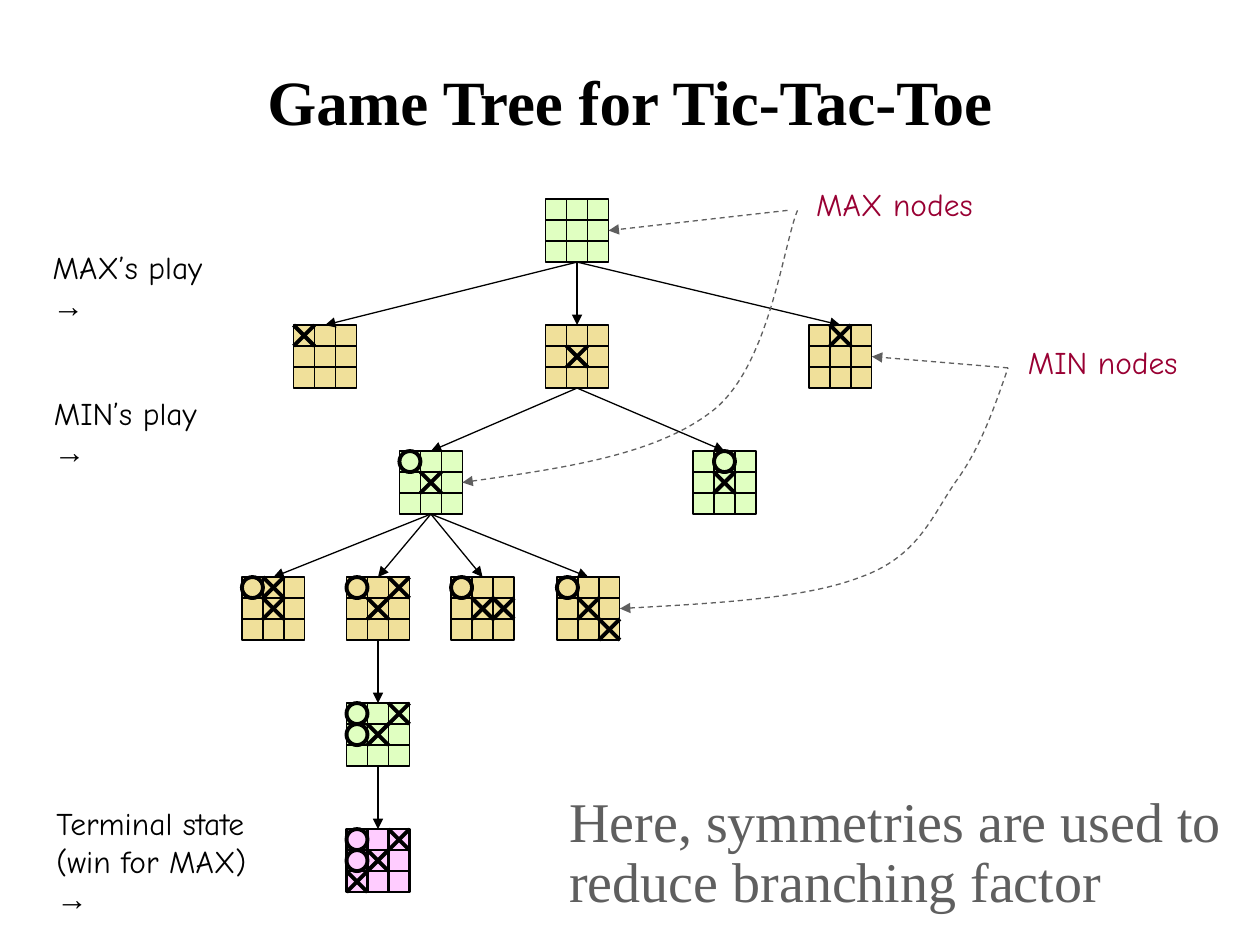
from lxml import etree
from pptx import Presentation
from pptx.dml.color import RGBColor
from pptx.enum import dml, shapes, text
from pptx.oxml import ns
from pptx.util import Inches, Pt

BLACK = RGBColor(0x00, 0x00, 0x00)
GREY = RGBColor(0x5F, 0x5F, 0x5F)
CRIMSON = RGBColor(0x99, 0x00, 0x33)
MAX_GREEN = RGBColor(0xE0, 0xFF, 0xC1)
MIN_TAN = RGBColor(0xF0, 0xE0, 0x9A)
WIN_PINK = RGBColor(0xFF, 0xCC, 0xFF)

SERIF, HAND, SANS = "Times New Roman", "Comic Neue", "Arial"
BOARD, CELL = 0.5, 0.5 / 3
TOP, BOTTOM, RIGHT = 0, 2, 3  # connection sites

# name: (left, level, marks by row)
BOARDS = {
    "root": (4.33, 0, "... ... ..."),
    "corner": (2.33, 1, "X.. ... ..."),
    "centre": (4.33, 1, "... .X. ..."),
    "edge": (6.42, 1, ".X. ... ..."),
    "reply corner": (3.17, 2, "O.. .X. ..."),
    "reply edge": (5.5, 2, ".O. .X. ..."),
    "top middle": (1.92, 3, "OX. .X. ..."),
    "top right": (2.75, 3, "O.X .X. ..."),
    "middle right": (3.58, 3, "O.. .XX ..."),
    "bottom right": (4.42, 3, "O.. .X. ..X"),
    "block": (2.75, 4, "O.X OX. ..."),
    "win": (2.75, 5, "O.X OX. X.."),
}
MOVES = {
    "root": ("corner", "centre", "edge"),
    "centre": ("reply corner", "reply edge"),
    "reply corner": ("top middle", "top right", "middle right", "bottom right"),
    "top right": ("block",),
    "block": ("win",),
}


def style_line(shape, color, width, dashed=False, arrow=None):
    shape.line.color.rgb = color
    shape.line.width = Pt(width)
    if dashed:
        shape.line.dash_style = dml.MSO_LINE.DASH
    if arrow:
        etree.SubElement(shape.line._get_or_add_ln(), ns.qn(f"a:{arrow}"), type="triangle")


def add_line(parent, x1, y1, x2, y2, color=BLACK, width=0.75, **style):
    line = parent.shapes.add_connector(
        shapes.MSO_CONNECTOR.STRAIGHT, Inches(x1), Inches(y1), Inches(x2), Inches(y2))
    style_line(line, color, width, **style)
    etree.SubElement(line._element.spPr, ns.qn("a:effectLst"))
    return line


def add_outline(parent, preset, left, top, size, fill, width):
    outline = parent.shapes.add_shape(
        preset, Inches(left), Inches(top), Inches(size), Inches(size))
    outline.shadow.inherit = False
    outline.fill.solid()
    outline.fill.fore_color.rgb = fill
    style_line(outline, BLACK, width)
    return outline


def format_font(font, color, **values):
    font.color.rgb = color
    for name, value in values.items():
        setattr(font, name, value)


def add_label(parent, left, top, width, height, wording, color, wrap=True,
              name=HAND, size=18, spacing=None, arrow=""):
    box = parent.shapes.add_textbox(
        Inches(left), Inches(top), Inches(width), Inches(height))
    box.text_frame.word_wrap = wrap
    paragraph = box.text_frame.paragraphs[0]
    paragraph.text = wording
    if spacing:
        paragraph.line_spacing = spacing
    for run in paragraph.runs:
        format_font(run.font, color, name=name, size=Pt(size))
    if arrow:
        arrow_run = paragraph.add_run()
        arrow_run.text = arrow
        format_font(arrow_run.font, color, name=SANS, size=Pt(size))


def add_board(parent, left, top, marks, fill, grid_width):
    square = add_outline(
        parent, shapes.MSO_SHAPE.RECTANGLE, left, top, BOARD, fill, grid_width)
    # Grid
    for i in (1, 2):
        x, y = left + i * CELL, top + i * CELL
        add_line(parent, left, y, left + BOARD, y, width=grid_width)
        add_line(parent, x, top, x, top + BOARD, width=grid_width)
    # Crosses and noughts
    for row, cells in enumerate(marks.split()):
        for column, mark in enumerate(cells):
            x, y = left + column * CELL, top + row * CELL
            if mark == "X":
                add_line(parent, x, y, x + CELL, y + CELL, width=2.25)
                add_line(parent, x, y + CELL, x + CELL, y, width=2.25)
            elif mark == "O":
                add_outline(parent, shapes.MSO_SHAPE.OVAL, x, y, CELL, fill, 2.25)
    return square


def add_tree(slide, top):
    tree = slide.shapes.add_group_shape()
    squares = {}
    for name, (left, level, marks) in BOARDS.items():
        fill = WIN_PINK if name == "win" else (MAX_GREEN, MIN_TAN)[level % 2]
        squares[name] = add_board(
            tree, left, top + level, marks, fill, 1.5 if name == "win" else 0.75)
    # Moves
    for parent, children in MOVES.items():
        for child in children:
            move = add_line(tree, 0, 0, 1, 1, arrow="tailEnd")
            move.begin_connect(squares[parent], BOTTOM)
            move.end_connect(squares[child], TOP)
    # Whose turn it is
    for left, label_top, width, height, wording in (
            (0.32, 0.34, 1.67, 0.4, "MAX’s play "),
            (0.33, 1.5, 1.62, 0.4, "MIN’s play "),
            (0.35, 4.75, 2, 0.7, "Terminal state\v(win for MAX) ")):
        add_label(tree, left, top + label_top, width, height, wording, BLACK, arrow="→")
    return squares


def add_curve(parent, points):
    """Draw Bezier segments: a start, then three points for each segment."""
    emu = [(Inches(x), Inches(y)) for x, y in points]
    builder = parent.shapes.build_freeform(*emu[0])
    builder.add_line_segments(emu[1:], close=False)
    curve = builder.convert_to_shape()
    outline = curve._element.find(".//" + ns.qn("a:path"))
    steps = outline.findall(ns.qn("a:lnTo"))
    for i in range(0, len(steps), 3):
        segment = etree.SubElement(outline, ns.qn("a:cubicBezTo"))
        for step in steps[i:i + 3]:
            segment.append(step[0])
            outline.remove(step)
    curve.shadow.inherit = False
    curve.fill.background()
    style_line(curve, GREY, 0.75, dashed=True, arrow="headEnd")


def add_node_note(slide, box, wording, start, square, curve):
    note = slide.shapes.add_group_shape()
    add_label(note, *box, wording, CRIMSON, wrap=False)
    add_curve(note, curve)
    pointer = add_line(note, *start, *start, color=GREY, dashed=True, arrow="tailEnd")
    pointer.end_connect(square, RIGHT)


def add_title(slide, left, top, width, height):
    title = slide.shapes.title
    box = {"left": left, "top": top, "width": width, "height": height}
    for side, length in box.items():
        setattr(title, side, Inches(length))
    title.text_frame.text = "Game Tree for Tic-Tac-Toe"
    title.text_frame.vertical_anchor = text.MSO_ANCHOR.MIDDLE
    paragraph = title.text_frame.paragraphs[0]
    paragraph.alignment = text.PP_ALIGN.CENTER
    format_font(paragraph.runs[0].font, BLACK, name=SERIF, size=Pt(36), bold=True)


def main():
    deck = Presentation()
    deck.slide_width, deck.slide_height = Inches(10), Inches(7.5)
    slide = deck.slides.add_slide(deck.slide_layouts[5])
    add_title(slide, 0.5, 0.17, 9, 1.25)
    squares = add_tree(slide, 1.58)
    add_label(slide, 4.42, 6.25, 5.5, 1.06,
              "Here, symmetries are used to reduce branching factor",
              GREY, name=SERIF, size=32, spacing=0.9)
    add_node_note(
        slide, (8.06, 2.67, 1.39, 0.4), "MIN nodes", (8, 2.92), squares["edge"],
        [(4.92, 4.83), (5.65, 4.79), (6.39, 4.75), (6.83, 4.58), (7.28, 4.42),
         (7.39, 4.11), (7.58, 3.83), (7.78, 3.56), (7.89, 3.24), (8, 2.92)])
    add_node_note(
        slide, (6.38, 1.42, 1.44, 0.4), "MAX nodes", (6.25, 1.67), squares["root"],
        [(3.67, 3.83), (4.44, 3.72), (5.22, 3.61), (5.67, 3.25),
         (6.11, 2.89), (6.22, 1.93), (6.33, 1.67)])
    deck.save("out.pptx")


if __name__ == "__main__":
    main()
